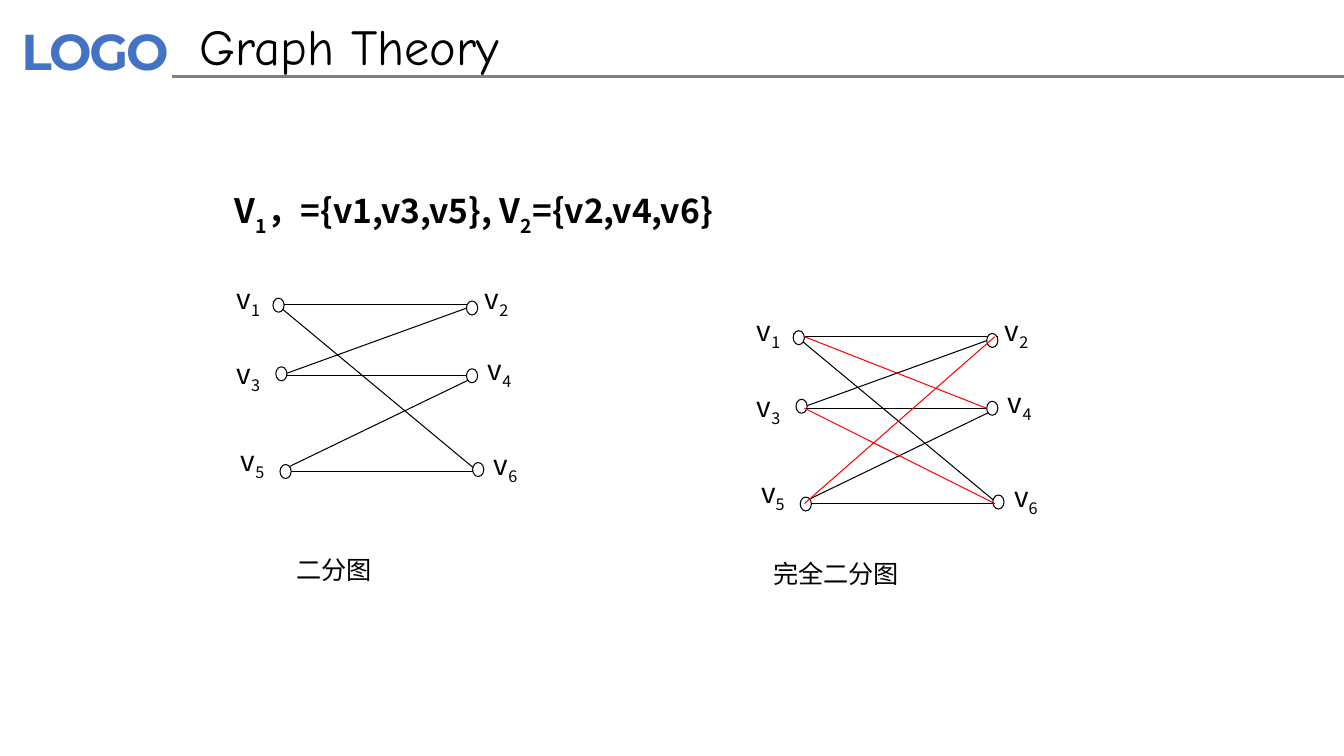
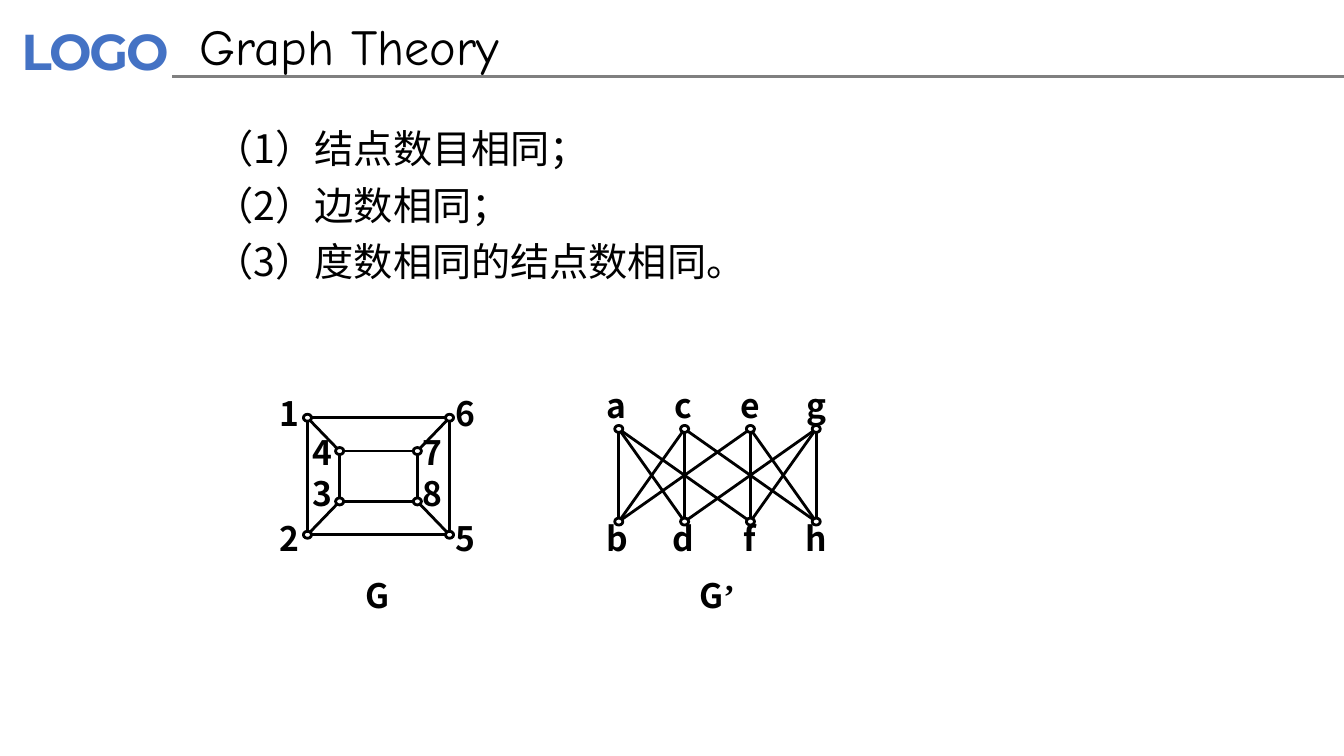
"""Build two graph theory slides: bipartite graphs and isomorphic graphs."""
from itertools import product

from lxml import etree
from pptx import Presentation
from pptx.dml.color import RGBColor
from pptx.enum import shapes as kinds, text as layouts
from pptx.oxml import ns
from pptx.util import Pt

BLACK, WHITE, RED, BLUE, GRAY = "000000", "FFFFFF", "FF0000", "4472C4", "808080"
BODY_FONT, TITLE_FONT, LOGO_FONT = "Noto Sans CJK SC", "Comic Neue", "Montserrat"
STRAIGHT = kinds.MSO_CONNECTOR.STRAIGHT
OVAL = kinds.MSO_SHAPE.OVAL
LEFT, CENTER = layouts.PP_ALIGN.LEFT, layouts.PP_ALIGN.CENTER


def stroke(shape, weight, colour=BLACK):
    """Outline a connector or node and remove its shadow."""
    shape.line.width = Pt(weight)
    shape.line.color.rgb = RGBColor.from_string(colour)
    etree.SubElement(shape.element.spPr, ns.qn("a:effectLst"))
    if shape.shape_type == kinds.MSO_SHAPE_TYPE.AUTO_SHAPE:
        shape.fill.solid()
        shape.fill.fore_color.rgb = RGBColor.from_string(WHITE)


def write(shape, lines, size, font=BODY_FONT, bold=False, colour=BLACK,
          align=LEFT, inset=(0, 0), subscript=-25):
    """Fill a shape with lines of runs, every second run being a subscript."""
    frame = shape.text_frame
    frame.word_wrap = True
    frame.auto_size = layouts.MSO_AUTO_SIZE.NONE
    frame.margin_left = frame.margin_right = Pt(inset[0])
    frame.margin_top = frame.margin_bottom = Pt(inset[1])
    for index, line in enumerate(lines):
        paragraph = frame.add_paragraph() if index else frame.paragraphs[0]
        properties = paragraph._p.get_or_add_pPr()
        properties.set("marL", "0")
        properties.set("indent", "0")
        etree.SubElement(properties, ns.qn("a:buNone"))
        paragraph.alignment = align
        paragraph.space_before = Pt(0)
        for position, words in enumerate(line):
            run = paragraph.add_run()
            run.text = words
            run.font.size = Pt(size)
            run.font.bold = bold
            run.font.color.rgb = RGBColor.from_string(colour)
            run.font.name = font
            run_properties = run._r.get_or_add_rPr()
            etree.SubElement(run_properties, ns.qn("a:ea"), typeface=font)
            if position % 2:
                run_properties.set("baseline", str(subscript * 1000))
    return frame.paragraphs


presentation = Presentation()
presentation.slide_width, presentation.slide_height = Pt(960), Pt(540)
layout = presentation.slide_layouts[1]
heading = layout.placeholders[0]
heading.left, heading.top, heading.width, heading.height = map(Pt, (135.4, 7.2, 620.6, 51))

bipartite = presentation.slides.add_slide(layout)
isomorphic = presentation.slides.add_slide(layout)
for slide in (bipartite, isomorphic):
    write(slide.shapes.title, [["Graph Theory"]], 36, TITLE_FONT, inset=(7.2, 3.6))
    slide.shapes.title.text_frame.vertical_anchor = layouts.MSO_ANCHOR.MIDDLE

logo = bipartite.shapes.add_textbox(*map(Pt, (5.8, 9.4, 134, 53)))
wordmark = write(logo, [["LOGO"]], 36, LOGO_FONT, True, BLUE, inset=(9.4, 5))[0]
wordmark.runs[0]._r.get_or_add_rPr().set("spc", "-150")
rule = bipartite.shapes.add_connector(STRAIGHT, *map(Pt, (123, 54.5, 960, 54.5)))
stroke(rule, 2, GRAY)
for shared in (logo, rule):
    layout.shapes.element.append(shared.element)

formula = bipartite.placeholders[1]
formula.left, formula.top, formula.width, formula.height = map(Pt, (160.6, 121.7, 589.7, 73.4))
formula_runs = ["V", "1", "，={v1,v3,v5}, V", "2", "={v2,v4,v6}"]
write(formula, [formula_runs], 24, bold=True, inset=(7.2, 3.6), subscript=-30)[0].line_spacing = 1.3

rows = (4.3, 55.4, 123.5)
black_edges = [(5, rows[a], 146, rows[b]) for a, b in ((0, 0), (1, 0), (1, 1), (2, 1), (2, 2))]
black_edges.append((0, 2.2, 146, rows[2]))
red_edges = [(8, rows[a], right, rows[b]) for a, b, right in ((0, 1, 138), (1, 2, 144), (2, 0, 144))]
vertices = {
    "1": ((0, 0), (-26, -12.2)),
    "2": ((138.2, 2), (151.2, -12.2)),
    "3": ((2, 49), (-26, 41.8)),
    "4": ((138.2, 50.4), (153.4, 39)),
    "5": ((5, 118.8), (-23, 103.7)),
    "6": ((142.6, 117.4), (157.7, 106.6)),
}
graphs = (
    (195, 213, [], "二分图", 211.7, 396),
    (566.6, 236.2, red_edges, "完全二分图", 552.2, 399),
)
for left, top, extra_edges, caption, caption_left, caption_top in graphs:
    shapes = bipartite.shapes
    for x1, y1, x2, y2 in black_edges:
        ends = map(Pt, (left + x1, top + y1, left + x2, top + y2))
        stroke(shapes.add_connector(STRAIGHT, *ends), 0.75)
    for number, ((x, y), (label_x, label_y)) in vertices.items():
        stroke(shapes.add_shape(OVAL, *map(Pt, (left + x, top + y, 8, 10))), 0.75)
        label = shapes.add_textbox(*map(Pt, (left + label_x, top + label_y, 34, 34)))
        write(label, [["v", number]], 20)
    for x1, y1, x2, y2 in extra_edges:
        ends = map(Pt, (left + x1, top + y1, left + x2, top + y2))
        stroke(shapes.add_connector(STRAIGHT, *ends), 0.75, RED)
    caption_box = shapes.add_textbox(*map(Pt, (caption_left, caption_top, 187, 29)))
    write(caption_box, [[caption]], 18)

conditions = isomorphic.placeholders[1]
conditions.left, conditions.top, conditions.width, conditions.height = map(Pt, (146.2, 89.3, 635, 141.8))
condition_lines = [["（1）结点数目相同；"], ["（2）边数相同；"], ["（3）度数相同的结点数相同。"]]
for index, paragraph in enumerate(write(conditions, condition_lines, 28, inset=(7.2, 3.6))):
    paragraph.line_spacing = 0.9
    paragraph.space_before = Pt(10 if index else 0)

square_nodes = {
    "1": (219.6, 298.4, 198, 280.8),
    "2": (219.6, 382, 198, 370),
    "3": (242.6, 358.2, 221.8, 337.7),
    "4": (242.6, 322.2, 221.8, 308.2),
    "5": (321.1, 382, 324, 370),
    "6": (321.1, 298.4, 324, 280.8),
    "7": (298.1, 322.2, 300.2, 308.2),
    "8": (298.1, 358.2, 300.2, 337.7),
}
square_edges = ["12", "25", "56", "61", "34", "47", "78", "83", "14", "23", "58", "67"]

upper, lower = "aceg", "bdfh"
crossed_nodes = {}
for names, y, label_y in ((upper, 306.4, 275), (lower, 372.6, 370)):
    for column, name in enumerate(names):
        crossed_nodes[name] = (442 + 47 * column, y, 432 + 47.5 * column, label_y)
crossed_edges = [upper[a] + lower[b] for a, b in product(range(4), repeat=2) if a + b != 3]

for nodes, edges, caption_left, prime in (
    (square_nodes, square_edges, 252, ""),
    (crossed_nodes, crossed_edges, 494.6, "’"),
):
    shapes = isomorphic.shapes.add_group_shape().shapes
    for start, end in edges:
        ends = map(Pt, nodes[start][:2] + nodes[end][:2])
        stroke(shapes.add_connector(STRAIGHT, *ends), 2)
    for name, (x, y, label_x, label_y) in nodes.items():
        stroke(shapes.add_shape(OVAL, *map(Pt, (x - 2.9, y - 2.5, 5.8, 5))), 2)
        label = shapes.add_textbox(*map(Pt, (label_x, label_y, 17.3, 29.5)))
        write(label, [[name]], 24, bold=True, align=CENTER)
    caption_box = shapes.add_textbox(*map(Pt, (caption_left, 410.4, 35.3, 29.5)))
    paragraph = write(caption_box, [["G"]], 24, bold=True, align=CENTER)[0]
    if prime:
        run = paragraph.add_run()
        run.text = prime
        run.font.name = "Times New Roman"
        run.font.size = Pt(24)
        run.font.bold = True
        run.font.color.rgb = RGBColor.from_string(BLACK)

presentation.save("out.pptx")
